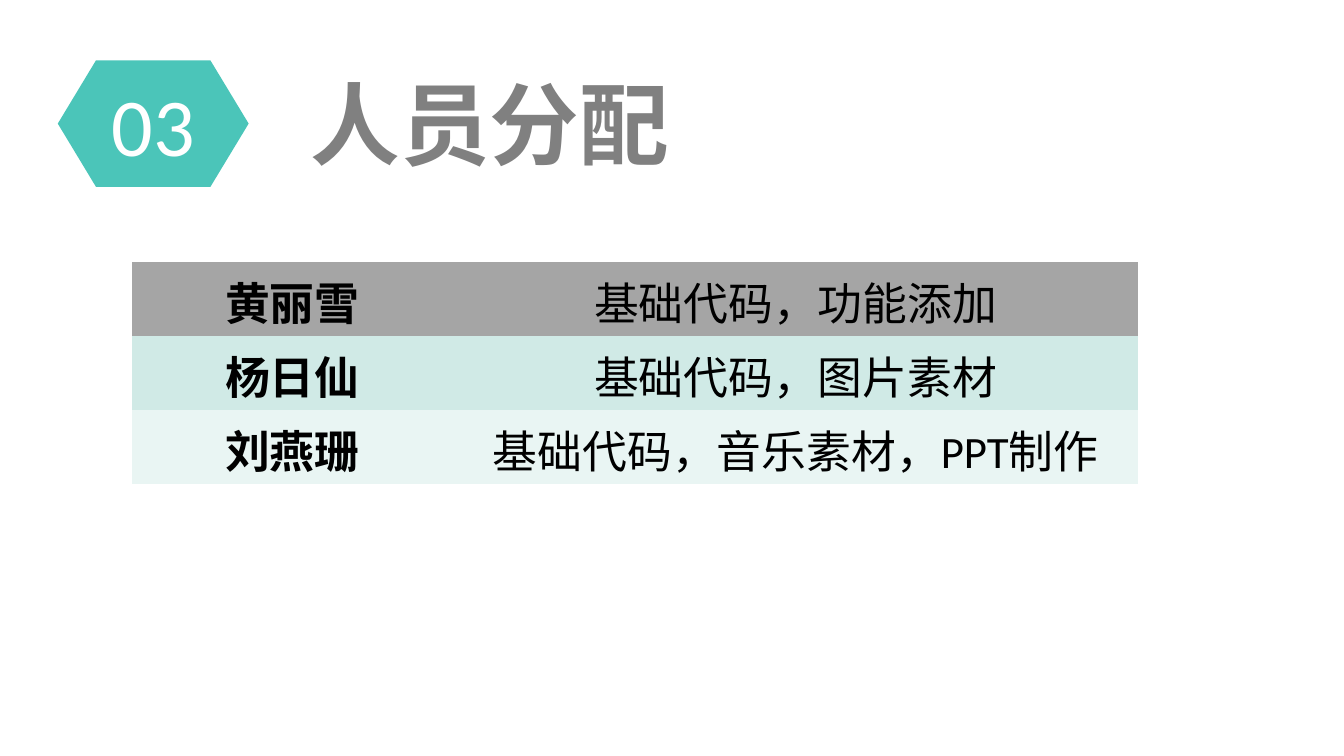
from pptx import Presentation
from pptx.dml.color import RGBColor
from pptx.enum.shapes import MSO_SHAPE
from pptx.enum.text import MSO_ANCHOR, MSO_AUTO_SIZE, PP_ALIGN
from pptx.util import Inches, Pt

COLORS = {
    "teal": "4BC5B9",
    "title": "808080",
    "header": "A5A5A5",
    "band": "D0EAE6",
    "light_band": "E9F5F3",
    "black": "000000",
    "white": "FFFFFF",
}

ROW_HEIGHT = 0.55
COLUMN_WIDTHS = (2.39, 5.1)
STAFF = [
    ("黄丽雪", "基础代码，功能添加", "header"),
    ("杨日仙", "基础代码，图片素材", "band"),
    ("刘燕珊", "基础代码，音乐素材，PPT制作", "light_band"),
]


def rgb(name):
    return RGBColor.from_string(COLORS[name])


def set_text(tf, text, size=24, color="black", font="Calibri", bold=False,
             align=PP_ALIGN.CENTER):
    p = tf.paragraphs[0]
    p.alignment = align
    r = p.add_run()
    r.text = text
    r.font.size = Pt(size)
    r.font.name = font
    r.font.bold = bold
    r.font.color.rgb = rgb(color)


def add_title(s, text):
    title = s.shapes.title
    title.left, title.top = Inches(2.31), Inches(0.51)
    title.width, title.height = Inches(3.08), Inches(0.81)
    tf = title.text_frame
    tf.margin_left = tf.margin_right = tf.margin_top = tf.margin_bottom = 0
    tf.vertical_anchor = MSO_ANCHOR.TOP
    tf.auto_size = MSO_AUTO_SIZE.SHAPE_TO_FIT_TEXT
    set_text(tf, text, size=48, color="title", font="Arial", bold=True,
             align=PP_ALIGN.LEFT)


def add_section_badge(s, number):
    sp = s.shapes.add_shape(MSO_SHAPE.FLOWCHART_PREPARATION, Inches(0.43),
                            Inches(0.45), Inches(1.42), Inches(0.94))
    sp.shadow.inherit = False
    sp.fill.solid()
    sp.fill.fore_color.rgb = rgb("teal")
    sp.line.fill.background()
    tf = sp.text_frame
    tf.word_wrap = False
    tf.vertical_anchor = MSO_ANCHOR.MIDDLE
    set_text(tf, number, size=44, color="white")


def add_staff_table(s, staff):
    frame = s.shapes.add_table(len(staff), len(COLUMN_WIDTHS), Inches(0.98),
                               Inches(1.95), Inches(sum(COLUMN_WIDTHS)),
                               Inches(ROW_HEIGHT * len(staff)))
    table = frame.table
    table.first_row = table.horz_banding = False
    for column, width in zip(table.columns, COLUMN_WIDTHS):
        column.width = Inches(width)
    for row, (name, duties, fill) in zip(table.rows, staff):
        row.height = Inches(ROW_HEIGHT)
        for i, (cell, text) in enumerate(zip(row.cells, (name, duties))):
            cell.fill.solid()
            cell.fill.fore_color.rgb = rgb(fill)
            set_text(cell.text_frame, text, bold=i == 0)
    # Plain table style without grid lines
    style_id = frame._element.find(".//{*}tableStyleId")
    style_id.text = "{2D5ABB26-0587-4C30-8999-92F81FD0307C}"


def main():
    prs = Presentation()
    prs.slide_width = Inches(10)
    prs.slide_height = Inches(10 * 9 / 16)
    s = prs.slides.add_slide(prs.slide_layouts[5])

    # Heading
    add_title(s, "人员分配")
    add_section_badge(s, "03")

    # Who does what
    add_staff_table(s, STAFF)

    prs.save("out.pptx")


if __name__ == "__main__":
    main()
